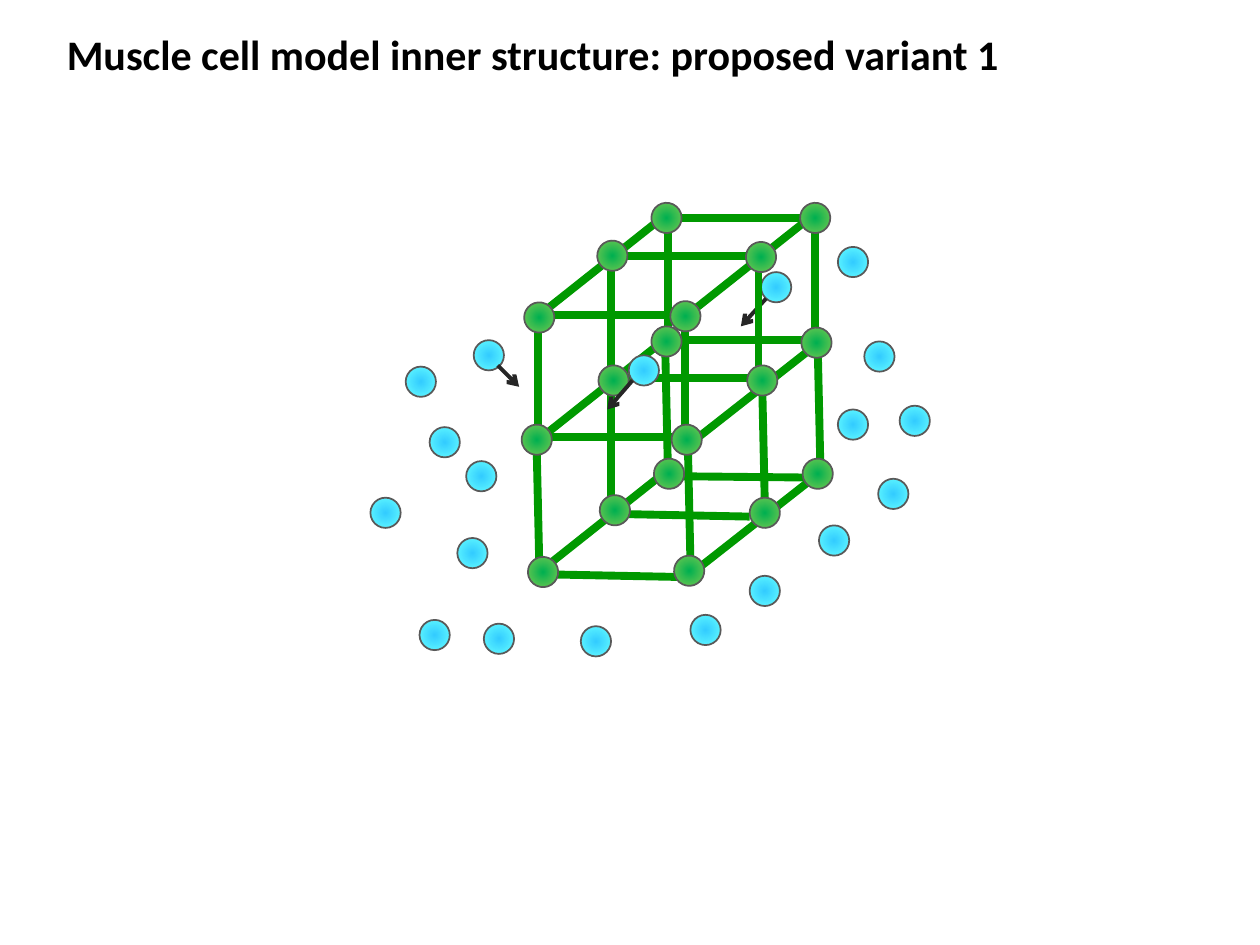
import dataclasses

import lxml.etree
import pptx
import pptx.dml.color
import pptx.enum.shapes
import pptx.enum.text
import pptx.oxml
import pptx.oxml.ns
import pptx.util

SHAPE = pptx.enum.shapes.MSO_SHAPE


@dataclasses.dataclass(frozen=True)
class Theme:
    """Colours, type and line widths of the slide."""
    font: str = "Calibri"
    title_size: float = 24
    ink: str = "000000"
    rim: tuple = ("595959", 1)
    strut: tuple = ("009900", 4.5)
    motion: tuple = ("262626", 2.25)
    node: tuple = ("00B050", "92D050")
    ion: tuple = ("33CCFF", "66FFFF")


THEME = Theme()


@dataclasses.dataclass(frozen=True)
class Box:
    """A region of the slide divided into columns and rows."""
    left: int
    top: int
    width: int
    height: int
    columns: int
    rows: int

    def point(self, column, row):
        """Return the slide position of a grid point."""
        return self.left + self.span(column, 0)[0], self.top + self.span(0, row)[1]

    def span(self, columns, rows):
        """Return the size of a number of columns and rows."""
        return int(self.width * columns / self.columns), int(self.height * rows / self.rows)


def rgb(value):
    """Return a colour from its hex text."""
    return pptx.dml.color.RGBColor.from_string(value)


def apply(target, values):
    """Set each format value on the target."""
    for key, value in values.items():
        setattr(target, key, value)


def stroke(line, style):
    """Give a line its colour and width."""
    colour, width = style
    line.color.rgb = rgb(colour)
    line.width = pptx.util.Pt(width)


def link(slide, box, ends, style, arrow=False):
    """Draw a straight line between two grid points."""
    connector = slide.shapes.add_connector(
        pptx.enum.shapes.MSO_CONNECTOR.STRAIGHT, *box.point(*ends[:2]), *box.point(*ends[2:]))
    stroke(connector.line, style)
    properties = connector._element.spPr
    tag = pptx.oxml.ns.qn
    if arrow:
        lxml.etree.SubElement(properties.find(tag("a:ln")), tag("a:tailEnd"), type="arrow")
    lxml.etree.SubElement(properties, tag("a:effectLst"))


def ball(slide, box, place, colours, turn=0):
    """Draw a ball shaded from its centre to its rim."""
    sphere = slide.shapes.add_shape(SHAPE.OVAL, *box.point(*place), *box.span(24, 24))
    apply(sphere, {"rotation": turn})
    sphere.shadow.inherit = False
    sphere.fill.gradient()
    for stop, colour in zip(sphere.fill.gradient_stops, colours):
        stop.color.rgb = rgb(colour)
    slant = sphere._element.spPr.find(".//" + pptx.oxml.ns.qn("a:lin"))
    slant.getparent().replace(slant, pptx.oxml.parse_xml(
        '<a:path %s path="circle"><a:fillToRect l="50000" t="50000" r="50000" b="50000"/></a:path>'
        % pptx.oxml.ns.nsdecls("a")))
    stroke(sphere.line, THEME.rim)


def heading(slide, box, wording):
    """Place and format the slide title."""
    title = slide.shapes.title
    left, top = box.point(0, 0)
    apply(title, {"left": left, "top": top, "width": box.width, "height": box.height})
    apply(title.text_frame, {
        "text": wording, "word_wrap": False,
        "auto_size": pptx.enum.text.MSO_AUTO_SIZE.SHAPE_TO_FIT_TEXT,
        "vertical_anchor": pptx.enum.text.MSO_ANCHOR.TOP})
    paragraph = title.text_frame.paragraphs[0]
    paragraph.alignment = pptx.enum.text.PP_ALIGN.LEFT
    font = paragraph.runs[0].font
    apply(font, {"name": THEME.font, "size": pptx.util.Pt(THEME.title_size), "bold": True})
    font.color.rgb = rgb(THEME.ink)


def lattice(slide, box):
    """Draw the cell skeleton of struts, upright frames and nodes."""
    depth_struts = [(32, 97, 124, 24), (148, 98, 240, 25), (153, 198, 246, 125),
                    (30, 197, 122, 124), (153, 302, 246, 229), (33, 300, 125, 227)]
    upright_struts = [(207, 249, 205, 159), (251, 216, 249, 125), (85, 251, 85, 163),
                      (148, 297, 146, 206), (28, 298, 26, 208), (130, 219, 128, 128)]
    floor_struts = [(42, 306, 143, 308), (94, 258, 195, 260), (139, 228, 239, 229)]
    upper_frames = [(27, 100), (85, 53), (130, 23)]
    top_nodes = [(16, 90), (132, 89), (74, 41), (192, 42), (117, 11), (235, 11)]
    middle_nodes = [(14, 187), (133, 187), (75, 140), (193, 140), (117, 109), (236, 110)]
    floor_nodes = [(19, 292), (135, 291), (76, 243), (195, 245), (119, 214), (237, 214)]
    for ends in depth_struts + upright_struts + floor_struts:
        link(slide, box, ends, THEME.strut)
    for place in upper_frames:
        frame = slide.shapes.add_shape(SHAPE.HEXAGON, *box.point(*place), *box.span(117, 97))
        frame.adjustments[0] = 0
        frame.shadow.inherit = False
        frame.fill.background()
        stroke(frame.line, THEME.strut)
    for place in top_nodes + middle_nodes + floor_nodes:
        ball(slide, box, place, THEME.node, turn=11.1)


def free_ions(slide, box):
    """Scatter the resting ions around the cell."""
    left_side = [(51, 189), (32, 141), (80, 216), (4, 245), (43, 342), (73, 277),
                 (94, 345), (171, 347)]
    right_side = [(396, 121), (375, 46), (424, 172), (375, 175), (305, 307),
                  (407, 230), (360, 267), (258, 338)]
    for place in left_side + right_side:
        ball(slide, box, place, THEME.ion)


def moving_ion(slide, box, place, course):
    """Draw an ion with the arrow of its motion."""
    ball(slide, box, place, THEME.ion)
    link(slide, box, course, THEME.motion, arrow=True)


def main():
    """Build and save the slide."""
    deck = pptx.Presentation()
    apply(deck, {"slide_width": pptx.util.Inches(10), "slide_height": pptx.util.Inches(7.5)})
    slide = deck.slides.add_slide(deck.slide_layouts[5])
    page = Box(0, 0, deck.slide_width, deck.slide_height, 1000, 750)

    def region(column, row, columns, rows):
        """Return a region of the page."""
        return Box(*page.point(column, row), *page.span(columns, rows), columns, rows)

    surroundings = region(290, 150, 450, 375)
    heading(slide, region(43, 18, 767, 50),
            "Muscle cell model inner structure: proposed variant 1")
    moving_ion(slide, surroundings, (314, 66), (318, 87, 298, 109))
    lattice(slide, region(400, 150, 270, 320))
    free_ions(slide, surroundings)
    moving_ion(slide, surroundings, (86, 120), (105, 140, 122, 157))
    moving_ion(slide, surroundings, (209, 132), (212, 152, 192, 175))
    deck.save("out.pptx")


main()
